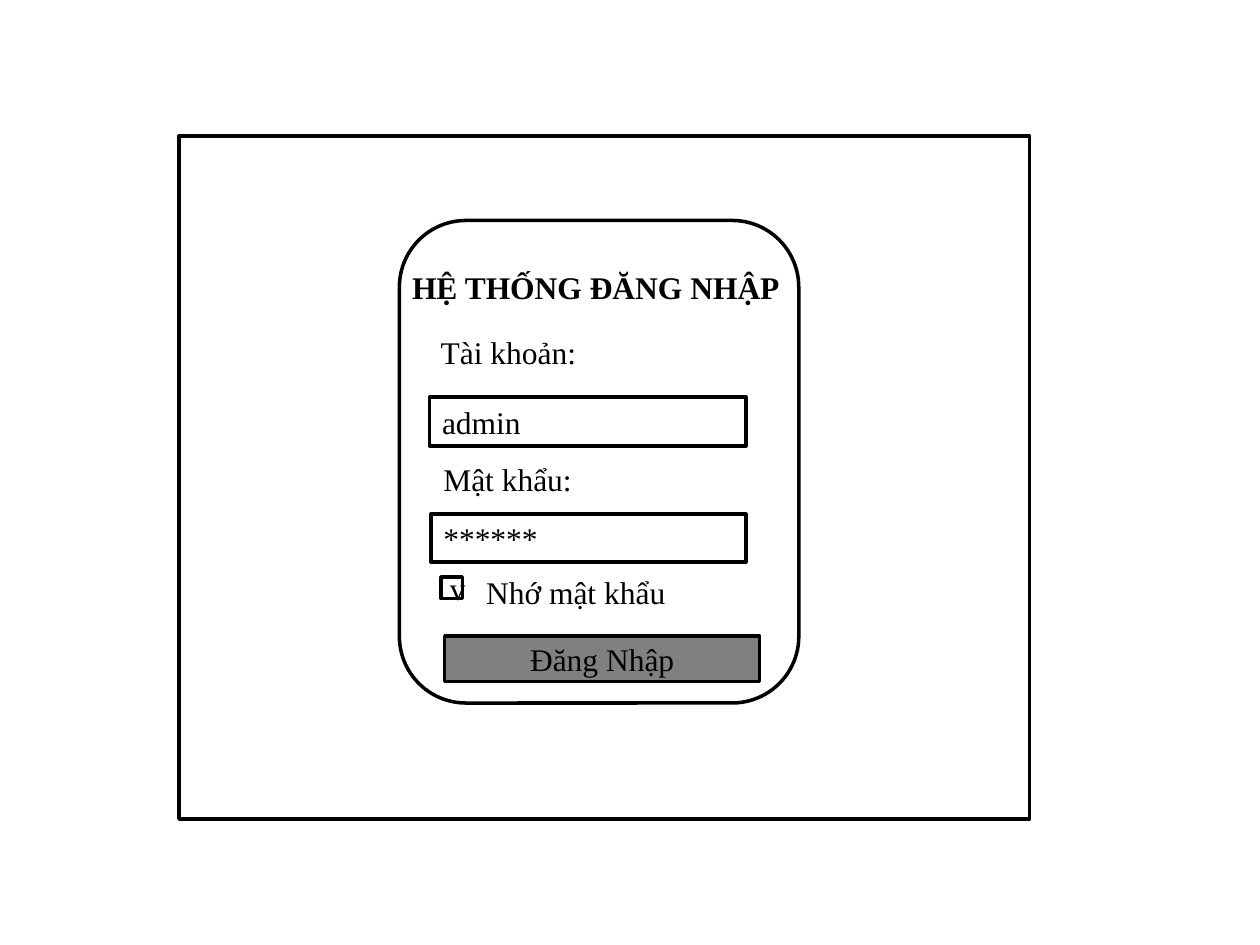
"""Build a login screen wireframe slide."""
from pptx import Presentation
from pptx.dml.color import RGBColor
from pptx.enum.shapes import MSO_SHAPE
from pptx.enum.text import MSO_ANCHOR, MSO_AUTO_SIZE, PP_ALIGN
from pptx.util import Inches, Pt

RECT, ROUNDED = MSO_SHAPE.RECTANGLE, MSO_SHAPE.ROUNDED_RECTANGLE
LEFT, CENTER = PP_ALIGN.LEFT, PP_ALIGN.CENTER
TOP, MIDDLE = MSO_ANCHOR.TOP, MSO_ANCHOR.MIDDLE
FONT = "Times New Roman"
COLORS = {"ink": "000000", "paper": "FFFFFF", "button": "808080"}

HEADING = ("HỆ THỐNG ĐĂNG NHẬP", (3.17, 2.08, 3.41, 0.71))
BOXES = [
    (RECT, (1.42, 1.08, 6.75, 5.42), "paper", "", LEFT),
    (ROUNDED, (3.17, 1.75, 3.17, 3.83), "paper", "", LEFT),
    (RECT, (3.41, 3.15, 2.51, 0.39), "paper", "admin", LEFT),
    (RECT, (3.42, 4.08, 2.5, 0.38), "paper", "******", LEFT),
    (RECT, (3.5, 4.58, 0.17, 0.17), "paper", "v", CENTER),
    (RECT, (3.53, 5.05, 2.5, 0.36), "button", "Đăng Nhập", CENTER),
]
LABELS = [
    ("Tài khoản:", (3.39, 2.59, 1.29, 0.4), CENTER),
    ("Mật khẩu:", (3.42, 3.6, 1.23, 0.4), LEFT),
    ("Nhớ mật khẩu", (3.75, 4.5, 1.64, 0.4), CENTER),
]


def color(name):
    return RGBColor.from_string(COLORS[name])


def inches(place):
    return [Inches(value) for value in place]


def write(shape, text, align, anchor, wrap=True, bold=False):
    frame = shape.text_frame
    frame.word_wrap = wrap
    frame.vertical_anchor = anchor
    paragraph = frame.paragraphs[0]
    paragraph.alignment = align
    run = paragraph.add_run()
    run.text = text
    run.font.name, run.font.size, run.font.bold = FONT, Pt(18), bold
    run.font.color.rgb = color("ink")


prs = Presentation()
prs.slide_width, prs.slide_height = Inches(10), Inches(7.5)
slide = prs.slides.add_slide(prs.slide_layouts[5])

for preset, place, fill, text, align in BOXES:
    box = slide.shapes.add_shape(preset, *inches(place))
    box.shadow.inherit = False
    box.fill.solid()
    box.fill.fore_color.rgb = color(fill)
    box.line.color.rgb = color("ink")
    box.line.width = Pt(2)
    if text:
        write(box, text, align, MIDDLE)

heading = slide.shapes.title
heading.left, heading.top, heading.width, heading.height = inches(HEADING[1])
heading.text_frame.auto_size = MSO_AUTO_SIZE.NONE
write(heading, HEADING[0], LEFT, TOP, bold=True)
slide.shapes.element.append(heading.element)

for text, place, align in LABELS:
    label = slide.shapes.add_textbox(*inches(place))
    label.text_frame.auto_size = MSO_AUTO_SIZE.SHAPE_TO_FIT_TEXT
    write(label, text, align, TOP, wrap=False)

prs.save("out.pptx")
